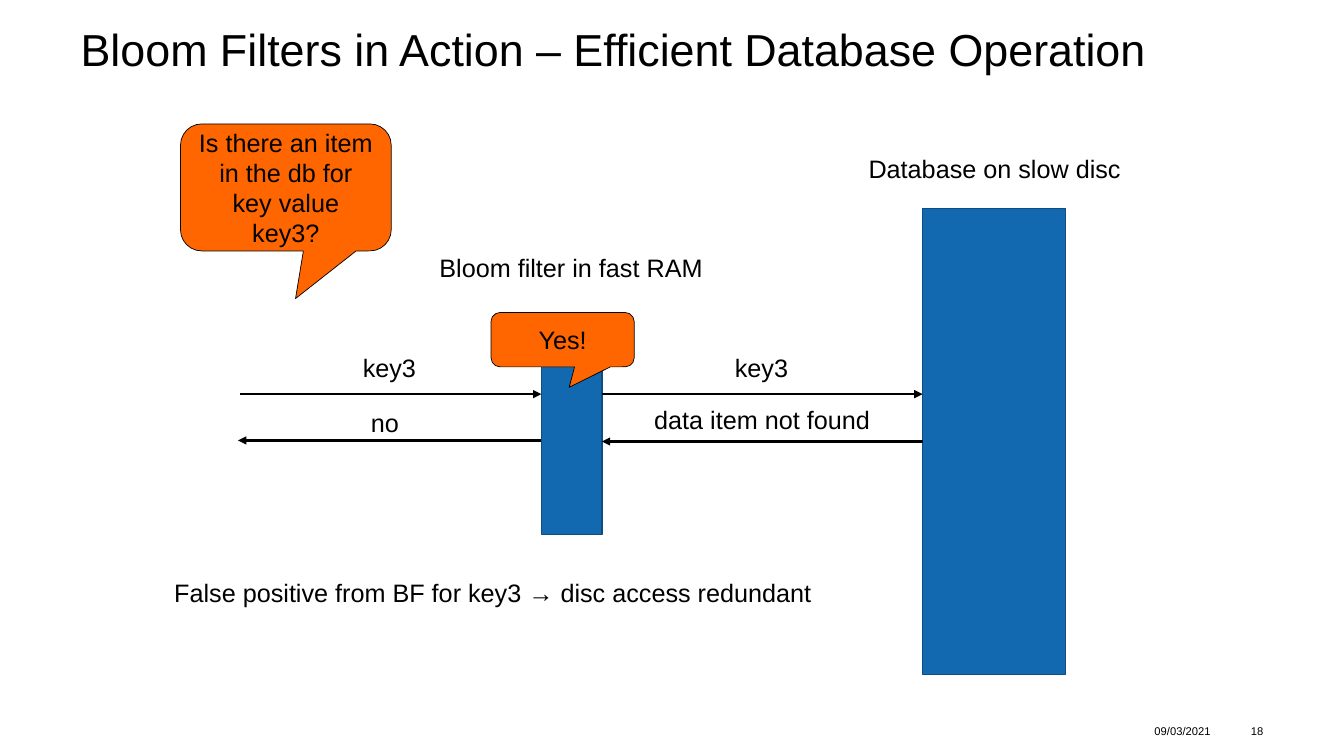
import pptx
import pptx.util
import pptx.dml.color
import pptx.enum.shapes
import pptx.enum.text
import pptx.oxml

Inches = pptx.util.Inches
Pt = pptx.util.Pt
SHAPE = pptx.enum.shapes.MSO_SHAPE
ALIGN = pptx.enum.text.PP_ALIGN
ANCHOR = pptx.enum.text.MSO_ANCHOR
FIT = pptx.enum.text.MSO_AUTO_SIZE
COLORS = {"ink": "000000", "store": "1269B0", "edge": "0D4E82", "call": "FF6600"}


def color(name):
    return pptx.dml.color.RGBColor.from_string(COLORS[name])


def write(shape, text, size, align=ALIGN.LEFT):
    par = shape.text_frame.paragraphs[0]
    par.text = text
    par.alignment = align
    par.font.size = Pt(size)
    par.font.name = "Arial"
    par.font.color.rgb = color("ink")
    return par


def add_box(slide, box):
    return slide.shapes.add_textbox(*map(Inches, box))


def add_plain(slide, box, text, size, align=ALIGN.LEFT, anchor=ANCHOR.TOP):
    shape = add_box(slide, box)
    frame = shape.text_frame
    frame.word_wrap = True
    frame.vertical_anchor = anchor
    frame.margin_left = frame.margin_right = 0
    frame.margin_top = frame.margin_bottom = 0
    return write(shape, text, size, align)


def add_label(slide, box, text, align=ALIGN.LEFT):
    shape = add_box(slide, box)
    shape.text_frame.word_wrap = False
    shape.text_frame.auto_size = FIT.SHAPE_TO_FIT_TEXT
    write(shape, text, 18, align)


def add_block(slide, kind, box, fill, edge, width):
    shape = slide.shapes.add_shape(kind, *map(Inches, box))
    shape.shadow.inherit = False
    shape.fill.solid()
    shape.fill.fore_color.rgb = color(fill)
    shape.line.color.rgb = color(edge)
    shape.line.width = Pt(width)
    return shape


def add_store(slide, box):
    return add_block(slide, SHAPE.RECTANGLE, box, "store", "edge", 1)


def add_call(slide, box, text):
    shape = add_block(slide, SHAPE.ROUNDED_RECTANGULAR_CALLOUT, box, "call", "ink", 0.5)
    for i, value in enumerate((0.046, 0.875, 0.167)):
        shape.adjustments[i] = value
    shape.text_frame.word_wrap = True
    shape.text_frame.vertical_anchor = ANCHOR.MIDDLE
    write(shape, text, 18, ALIGN.CENTER)


def add_arrow(slide, start, end, y):
    line = slide.shapes.add_connector(
        pptx.enum.shapes.MSO_CONNECTOR.STRAIGHT,
        Inches(start), Inches(y), Inches(end), Inches(y))
    line.line.color.rgb = color("ink")
    line.line.width = Pt(1.75)
    space = pptx.oxml.ns.nsdecls("a")
    line.line._get_or_add_ln().append(
        pptx.oxml.parse_xml(f'<a:tailEnd {space} type="triangle"/>'))
    line._element.spPr.append(pptx.oxml.parse_xml(f"<a:effectLst {space}/>"))
    return line


def add_title(slide, box):
    par = add_plain(slide, box, "Bloom Filters in Action – Efficient Database Operation", 32)
    par.line_spacing = 0.9


def add_flow(slide, box):
    x, y, w, h = box
    right = x + w
    filt = 5.37
    slot = 0.6
    base = 9.15
    send = y + 2.68
    reply = y + 3.15
    add_store(slide, (filt, y + 1.88, slot, 2.19))
    disc = add_store(slide, (base, y + 0.84, right - base, h - 0.86))
    add_label(slide, (4.26, y + 1.22, 2.84, 0.4), "Bloom filter in fast RAM")
    add_label(slide, (8.5, y + 0.24, 2.73, 0.4), "Database on slow disc", ALIGN.CENTER)
    add_call(slide, (x, y, 2.09, 1.26), "Is there an item in the db for key value key3?")
    add_arrow(slide, x + 0.59, filt, send)
    add_arrow(slide, filt, x + 0.57, reply - 0.01)
    add_arrow(slide, filt + slot, base, send)
    add_arrow(slide, base, filt + slot, reply).begin_connect(disc, 1)
    add_call(slide, (4.87, y + 1.87, 1.42, 0.54), "Yes!")
    for left, top, wide, text in (
        (3.5, 2.22, 0.73, "key3"),
        (3.58, 2.76, 0.48, "no"),
        (7.19, 2.22, 0.73, "key3"),
        (6.39, 2.73, 2.36, "data item not found"),
        (1.63, 4.45, 6.67, "False positive from BF for key3 → disc access redundant"),
    ):
        add_label(slide, (left, y + top, wide, 0.4), text)


def add_foot(slide, box):
    x, y, w, h = box
    add_plain(slide, (x, y, 0.67, h), "09/03/2021", 8, anchor=ANCHOR.MIDDLE)
    add_plain(slide, (x + w - 0.35, y, 0.35, h), "18", 8, ALIGN.RIGHT, ANCHOR.MIDDLE)


def main():
    deck = pptx.Presentation()
    deck.slide_width = Inches(13.33)
    deck.slide_height = Inches(7.5)
    slide = deck.slides.add_slide(deck.slide_layouts[6])
    add_title(slide, (0.8, 0.28, 11.73, 0.98))
    add_flow(slide, (1.79, 1.23, 8.78, 5.48))
    add_foot(slide, (11.45, 7.13, 1.08, 0.24))
    deck.save("out.pptx")


if __name__ == "__main__":
    main()
